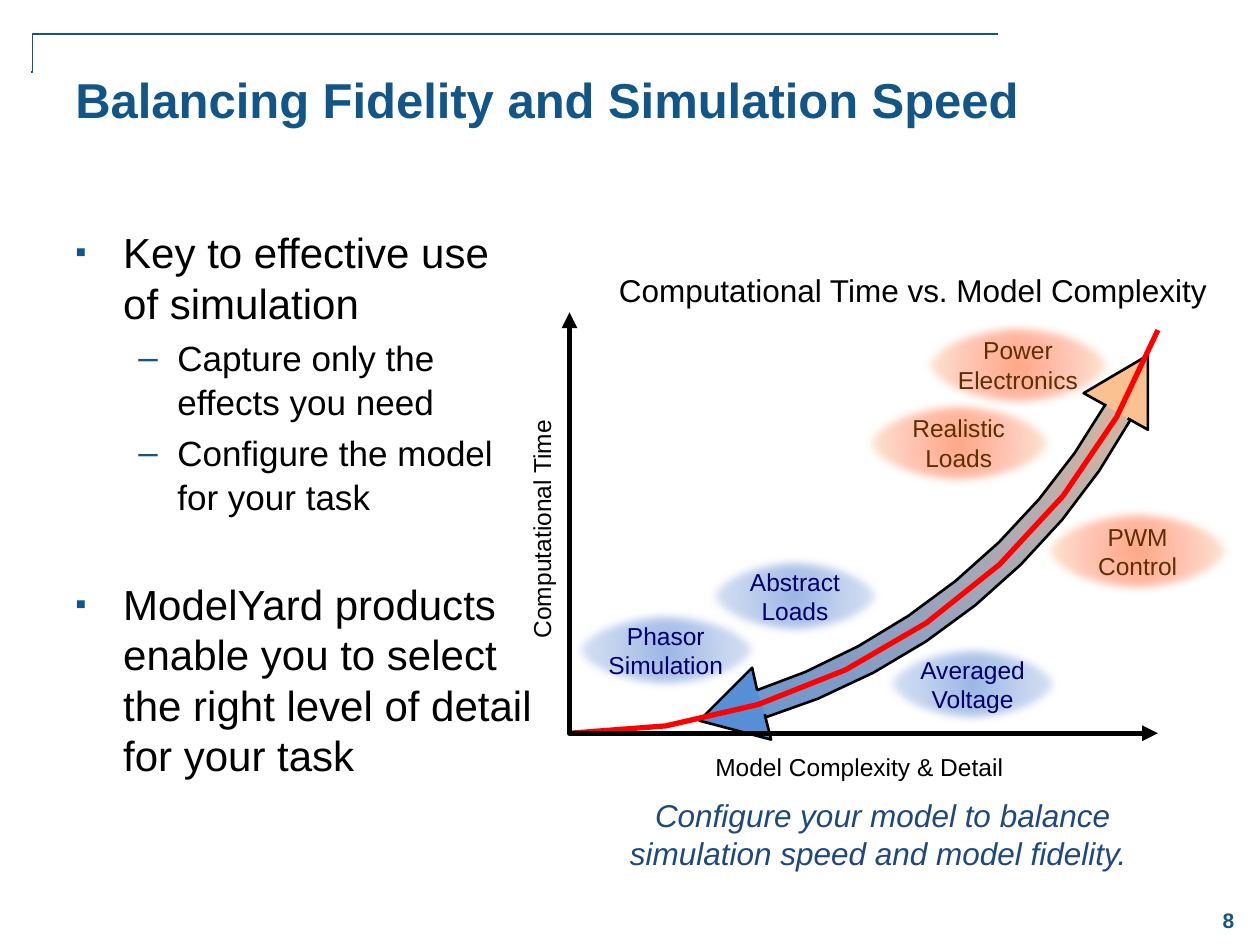
import dataclasses

import lxml.etree
import pptx
import pptx.dml.color
import pptx.enum.shapes
import pptx.enum.text
import pptx.oxml
import pptx.oxml.ns
import pptx.util

Inches = pptx.util.Inches
Pt = pptx.util.Pt
RGB = pptx.dml.color.RGBColor.from_string
ALIGN = pptx.enum.text.PP_ALIGN
ANCHOR = pptx.enum.text.MSO_ANCHOR
qn = pptx.oxml.ns.qn


@dataclasses.dataclass(frozen=True)
class Theme:
    font: str = "Arial"
    accent: str = "125687"
    caption: str = "1F497D"
    ink: str = "000000"
    curve: str = "FF0000"
    slow: str = "FBC191"
    fast: str = "568FD6"
    band: tuple = ((0, "D5B6A1"), (100, "6B95CE"))
    simple_fill: tuple = ((0, "9BB6E5"), (50, "C3D2EE"), (100, "E2E9F6"))
    simple_ink: str = "000066"
    detailed_fill: tuple = ((0, "FFA788"), (50, "FFC8B8"), (100, "FAF6E0"))
    detailed_ink: str = "602E04"
    title_size: int = 28
    body_size: int = 24
    sub_size: int = 20
    heading_size: int = 18
    label_size: int = 14
    number_size: int = 12


def bezier(start, pull_start, pull_end, end, steps=8):
    points = []
    for step in range(steps + 1):
        t = step / steps
        weights = ((1 - t) ** 3, 3 * t * (1 - t) ** 2, 3 * t * t * (1 - t), t ** 3)
        corners = (start, pull_start, pull_end, end)
        points.append(tuple(sum(w * c[axis] for w, c in zip(weights, corners))
                            for axis in (0, 1)))
    return points


class Deck:
    def __init__(self, theme):
        self.theme = theme
        self.presentation = pptx.Presentation()
        self.presentation.slide_width = Inches(10)
        self.presentation.slide_height = Inches(7.5)
        self.slide = self.presentation.slides.add_slide(self.presentation.slide_layouts[6])

    def element(self, parent, tag, **attributes):
        child = lxml.etree.SubElement(parent, qn(tag))
        for name, value in attributes.items():
            child.set(name, str(value))
        return child

    def style(self, paragraph, size, color, bold=False, italic=False):
        font = paragraph.font
        font.name = self.theme.font
        font.size = Pt(size)
        font.color.rgb = RGB(color)
        font.bold = bold
        font.italic = italic

    def text(self, words, box, size, color, align=ALIGN.CENTER, wrap=True,
             anchor=ANCHOR.TOP, rotation=0, **look):
        holder = self.slide.shapes.add_textbox(*map(Inches, box))
        holder.rotation = rotation
        frame = holder.text_frame
        frame.word_wrap = wrap
        frame.vertical_anchor = anchor
        paragraph = frame.paragraphs[0]
        paragraph.text = words
        paragraph.alignment = align
        self.style(paragraph, size, color, **look)

    def bullets(self, items, box):
        frame = self.slide.shapes.add_textbox(*map(Inches, box)).text_frame
        frame.word_wrap = True
        for index, (level, gap, words) in enumerate(items):
            paragraph = frame.add_paragraph() if index else frame.paragraphs[0]
            paragraph.text = words
            paragraph.level = level
            size, mark, percent, margin, hang, spacing = (
                (self.theme.sub_size, "–", 100, 0.81, 0.31, 1.05) if level
                else (self.theme.body_size, "▪", 75, 0.38, 0.38, 1.0))
            paragraph.space_before = Pt(gap)
            paragraph.line_spacing = spacing
            properties = paragraph._p.get_or_add_pPr()
            properties.set("marL", str(Inches(margin)))
            properties.set("indent", str(-Inches(hang)))
            bullet_color = self.element(properties, "a:buClr")
            self.element(bullet_color, "a:srgbClr", val=self.theme.accent)
            self.element(properties, "a:buSzPct", val=percent * 1000)
            self.element(properties, "a:buFont", typeface=self.theme.font)
            self.element(properties, "a:buChar", char=mark)
            self.style(paragraph, size, self.theme.ink)

    def gradient(self, shape, stops, angle=None):
        shape.fill.background()
        properties = shape._element.spPr
        gradient = pptx.oxml.parse_xml(
            "<a:gradFill %s rotWithShape='1'/>" % pptx.oxml.ns.nsdecls("a"))
        stop_list = self.element(gradient, "a:gsLst")
        for position, color in stops:
            stop = self.element(stop_list, "a:gs", pos=position * 1000)
            self.element(stop, "a:srgbClr", val=color)
        if angle is None:
            center = self.element(gradient, "a:path", path="circle")
            self.element(center, "a:fillToRect", l=50000, t=50000, r=50000, b=50000)
        else:
            self.element(gradient, "a:lin", ang=angle * 60000, scaled=0)
        properties.replace(properties.find(qn("a:noFill")), gradient)

    def elbow(self, start, end, bend, color, width):
        connector = self.slide.shapes.add_connector(
            pptx.enum.shapes.MSO_CONNECTOR.ELBOW, *map(Inches, start + end))
        connector.line.color.rgb = RGB(color)
        connector.line.width = Pt(width)
        properties = connector._element.spPr
        guides = properties.find(qn("a:prstGeom")).find(qn("a:avLst"))
        self.element(guides, "a:gd", name="adj1", fmla="val %d" % (bend * 100000))
        self.element(properties, "a:effectLst")

    def outline(self, points, line, width=1.5, fill=None, close=False, arrows=False):
        (left, top), *rest = [tuple(map(Inches, point)) for point in points]
        builder = self.slide.shapes.build_freeform(left, top)
        builder.add_line_segments(rest, close=close)
        shape = builder.convert_to_shape()
        shape.shadow.inherit = False
        if fill:
            shape.fill.solid()
            shape.fill.fore_color.rgb = RGB(fill)
        else:
            shape.fill.background()
        shape.line.color.rgb = RGB(line)
        shape.line.width = Pt(width)
        if arrows:
            stroke = shape.line._get_or_add_ln()
            self.element(stroke, "a:headEnd", type="triangle")
            self.element(stroke, "a:tailEnd", type="triangle")
        return shape

    def bubble(self, words, box, stops, color):
        oval = self.slide.shapes.add_shape(
            pptx.enum.shapes.MSO_SHAPE.OVAL, *map(Inches, box))
        oval.line.fill.background()
        self.gradient(oval, stops)
        oval.shadow.inherit = False
        effects = oval._element.spPr.find(qn("a:effectLst"))
        self.element(effects, "a:softEdge", rad=63500)
        frame = oval.text_frame
        frame.margin_left = frame.margin_right = frame.margin_top = frame.margin_bottom = 0
        frame.vertical_anchor = ANCHOR.MIDDLE
        paragraph = frame.paragraphs[0]
        paragraph.text = words
        paragraph.alignment = ALIGN.CENTER
        self.style(paragraph, self.theme.label_size, color)


def main():
    theme = Theme()
    deck = Deck(theme)
    deck.elbow((7.92, 0.27), (0.25, 0.57), 0.999, theme.accent, 1)
    deck.text("8", (9.5, 7.09, 0.5, 0.42), theme.number_size, theme.accent,
              anchor=ANCHOR.MIDDLE, bold=True)
    deck.bullets([
        (0, 0, "Key to effective use\vof simulation"),
        (1, 4, "Capture only the\veffects you need"),
        (1, 4, "Configure the model\vfor your task"),
        (0, 34.5, "ModelYard products\venable you to select\v"
                  "the right level of detail\vfor your task"),
    ], (0.5, 1.75, 8.83, 5.08))

    outer_edge = bezier((8.98, 3.32), (8.35, 4.47), (7.29, 5.33), (6.03, 5.71))
    inner_edge = bezier((8.78, 3.2), (8.16, 4.29), (7.15, 5.11), (5.95, 5.5))
    band = deck.outline(outer_edge + [(5.85, 5.63)] + inner_edge[::-1] + [(8.95, 3.14)],
                        theme.ink, close=True)
    deck.gradient(band, theme.band, angle=135)
    deck.outline([(8.78, 3.22), (8.6, 3.12), (9.11, 2.82), (9.11, 3.41), (8.95, 3.32)],
                 theme.ink, fill=theme.slow)
    deck.outline([(6.07, 5.67), (6.12, 5.87), (5.55, 5.72), (5.97, 5.3), (6.01, 5.48)],
                 theme.ink, fill=theme.fast)
    deck.outline(bezier((9.19, 2.62), (8.45, 4.55), (6.59, 5.82), (4.52, 5.82)),
                 theme.curve, 3)

    deck.text("Computational Time", (2.64, 4.03, 3.32, 0.34), theme.label_size,
              theme.ink, rotation=270)
    deck.text("Model Complexity & Detail", (4.48, 5.92, 4.68, 0.34),
              theme.label_size, theme.ink)
    deck.outline([(9.19, 5.82), (4.52, 5.82), (4.52, 2.48)], theme.ink, 3, arrows=True)
    deck.text("Computational Time vs. Model Complexity", (4.79, 2.1, 4.91, 0.4),
              theme.heading_size, theme.ink, wrap=False)
    deck.text("Configure your model to balance\vsimulation speed and model fidelity. ",
              (4.88, 6.27, 4.25, 0.71), theme.heading_size, theme.caption,
              wrap=False, italic=True)

    for words, left, top, width in (("Abstract\vLoads", 5.59, 4.4, 1.44),
                                    ("Phasor\vSimulation", 4.52, 4.83, 1.53),
                                    ("Averaged\vVoltage", 7, 5.1, 1.44)):
        deck.bubble(words, (left, top, width, 0.66), theme.simple_fill, theme.simple_ink)
    for words, left, top in (("Realistic\vLoads", 6.83, 3.16),
                             ("PWM\vControl", 8.25, 4.02),
                             ("Power\vElectronics", 7.3, 2.54)):
        deck.bubble(words, (left, top, 1.56, 0.71), theme.detailed_fill, theme.detailed_ink)
    deck.text("Balancing Fidelity and Simulation Speed", (0.5, 0.5, 8.83, 1.08),
              theme.title_size, theme.accent, align=ALIGN.LEFT, bold=True)
    deck.presentation.save("out.pptx")


if __name__ == "__main__":
    main()
